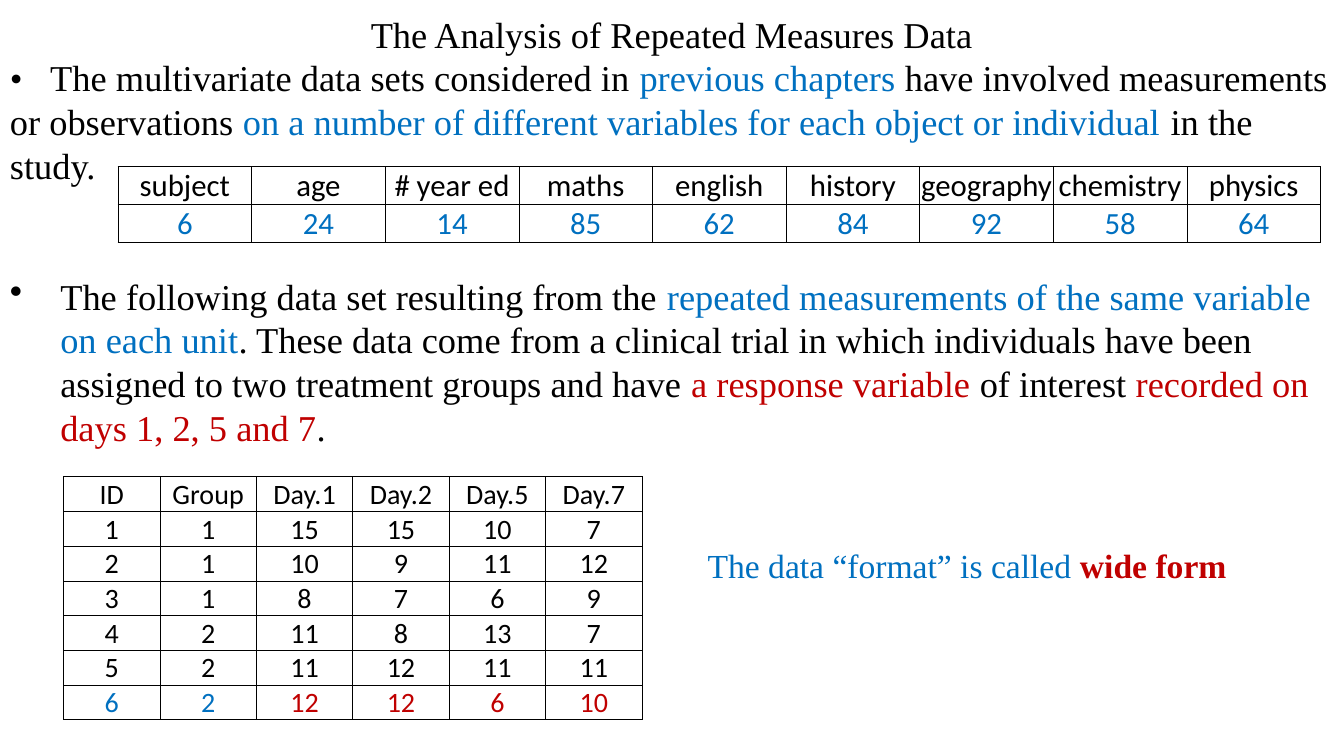
from lxml import etree
from pptx import Presentation
from pptx.dml.color import RGBColor
from pptx.enum import text
from pptx.oxml import ns
from pptx.util import Inches, Pt

BLACK = RGBColor(0x00, 0x00, 0x00)
BLUE = RGBColor(0x00, 0x70, 0xC0)
RED = RGBColor(0xC0, 0x00, 0x00)
SERIF = "Times New Roman"


def add_runs(p, runs, size):
    p.font.name = SERIF
    p.font.size = Pt(size)
    for words, color in runs:
        r = p.add_run()
        r.text = words
        r.font.color.rgb = color
    return p


def add_grid(slide, rows, colors, left, top, width, height, size):
    shape = slide.shapes.add_table(
        len(rows), len(rows[0]), Inches(left), Inches(top), Inches(width), Inches(height))
    table = shape.table
    table.first_row = table.horz_banding = False
    for i, row in enumerate(rows):
        for j, value in enumerate(row):
            cell = table.cell(i, j)
            cell.text = str(value)
            cell.vertical_anchor = text.MSO_ANCHOR.BOTTOM
            cell.margin_left = cell.margin_right = cell.margin_top = Inches(0.01)
            cell.margin_bottom = 0
            p = cell.text_frame.paragraphs[0]
            p.alignment = text.PP_ALIGN.CENTER
            p.font.name = "Calibri"
            p.font.size = Pt(size)
            p.font.color.rgb = colors[j] if i == len(rows) - 1 else BLACK
            tc_pr = cell._tc.get_or_add_tcPr()
            for side in ("a:lnL", "a:lnR", "a:lnT", "a:lnB"):
                ln = etree.SubElement(tc_pr, ns.qn(side), w=str(Pt(0.5)))
                fill = etree.SubElement(ln, ns.qn("a:solidFill"))
                etree.SubElement(fill, ns.qn("a:srgbClr"), val=str(BLACK))
            cell.fill.background()


prs = Presentation()
prs.slide_width = Inches(13.33)
prs.slide_height = Inches(7.5)
slide = prs.slides.add_slide(prs.slide_layouts[5])

title = slide.shapes.title
title.left, title.top, title.width, title.height = 0, 0, Inches(13.33), Inches(0.6)
tf = title.text_frame
tf.vertical_anchor = text.MSO_ANCHOR.TOP
tf.auto_size = text.MSO_AUTO_SIZE.NONE
p = add_runs(tf.paragraphs[0], [("The Analysis of Repeated Measures Data", BLACK)], 26)
p.alignment = text.PP_ALIGN.CENTER
p.line_spacing = Pt(36)

body = slide.shapes.add_textbox(0, Inches(0.5), Inches(13.33), Inches(4.04))
tf = body.text_frame
tf.word_wrap = True
p = add_runs(tf.paragraphs[0], [
    ("•\tThe multivariate data sets considered in ", BLACK),
    ("previous chapters ", BLUE),
    ("have involved measurements or observations ", BLACK),
    ("on a number of different variables for each object or individual ", BLUE),
    ("in the study.", BLACK),
], 26)
p.line_spacing = Pt(31.2)
tabs = etree.Element(ns.qn("a:tabLst"))
etree.SubElement(tabs, ns.qn("a:tab"), pos=str(Inches(0.4)), algn="l")
p._p.pPr.find(ns.qn("a:defRPr")).addprevious(tabs)

p = add_runs(tf.add_paragraph(), [
    ("The following data set resulting from the ", BLACK),
    ("repeated measurements of the same variable on each unit", BLUE),
    (". These data come from a clinical trial in which individuals have been "
     "assigned to two treatment groups and have ", BLACK),
    ("a response variable ", RED),
    ("of interest ", BLACK),
    ("recorded on days 1, 2, 5 and 7", RED),
    (".", BLACK),
], 26)
p.line_spacing = Pt(31.2)
p.space_before = Pt(62.4)
p_pr = p._p.pPr
p_pr.set("marL", str(Inches(0.5)))
p_pr.set("indent", str(Inches(-0.5)))
bullet = etree.Element(ns.qn("a:buChar"), char="•")
p_pr.find(ns.qn("a:defRPr")).addprevious(bullet)

trial = [
    ["ID", "Group", "Day.1", "Day.2", "Day.5", "Day.7"],
    [1, 1, 15, 15, 10, 7],
    [2, 1, 10, 9, 11, 12],
    [3, 1, 8, 7, 6, 9],
    [4, 2, 11, 8, 13, 7],
    [5, 2, 11, 12, 11, 11],
    [6, 2, 12, 12, 6, 10],
]
add_grid(slide, trial, [BLUE] * 2 + [RED] * 4, 0.63, 4.73, 5.74, 2.41, 20)

scores = [
    ["subject", "age", "# year ed", "maths", "english", "history",
     "geography", "chemistry", "physics"],
    [6, 24, 14, 85, 62, 84, 92, 58, 64],
]
add_grid(slide, scores, [BLUE] * 9, 1.17, 1.65, 11.93, 0.75, 22)

note = slide.shapes.add_textbox(Inches(6.92), Inches(5.36), Inches(6.18), Inches(0.5))
tf = note.text_frame
tf.word_wrap = True
p = add_runs(tf.paragraphs[0], [
    ("The data “format” is called ", BLUE),
    ("wide form", RED),
], 24)
p.runs[1].font.bold = True

prs.save("out.pptx")
